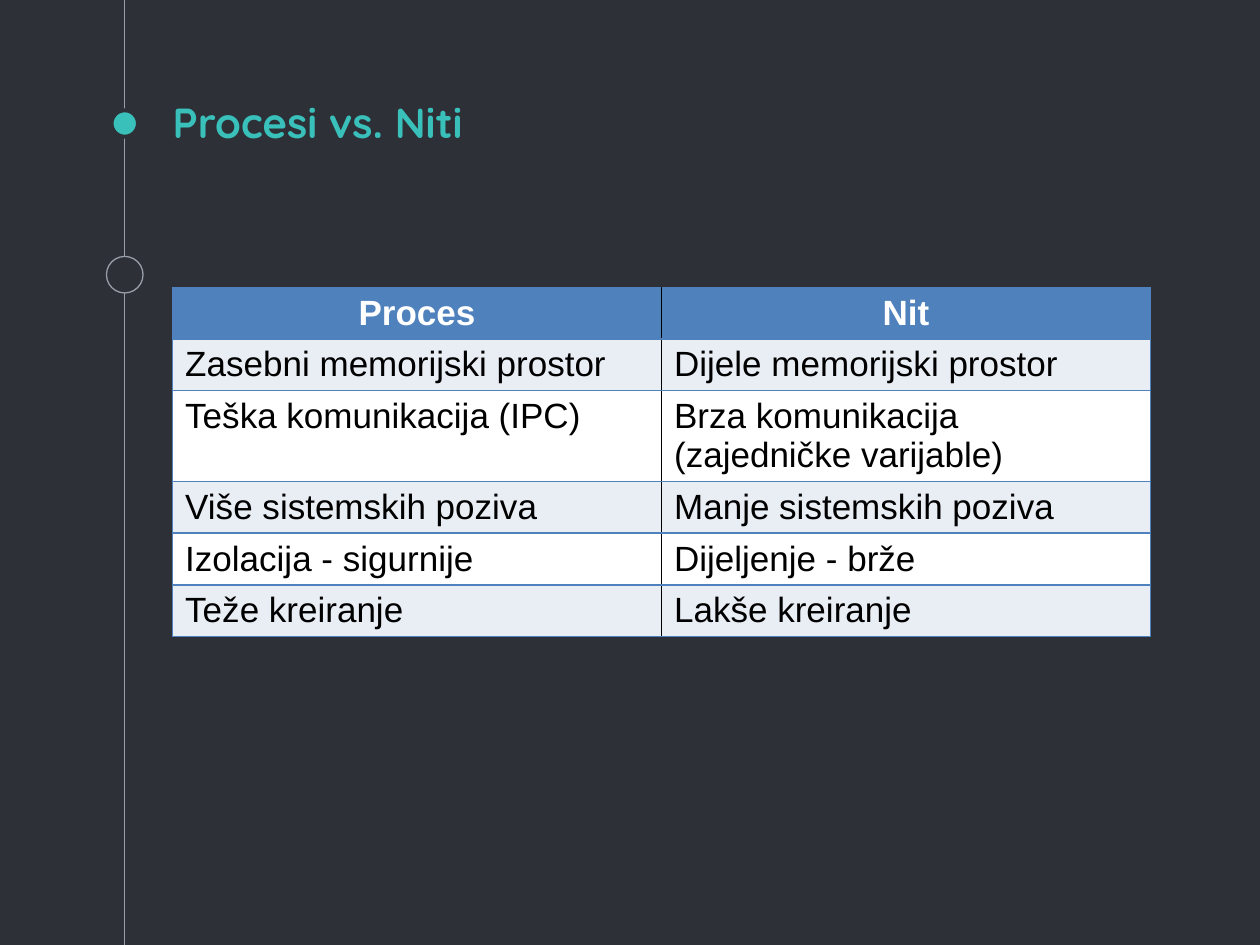
from lxml.etree import SubElement
from pptx import Presentation
from pptx.dml.color import RGBColor
from pptx.enum.shapes import MSO_CONNECTOR, MSO_SHAPE
from pptx.enum.text import MSO_ANCHOR, MSO_AUTO_SIZE, PP_ALIGN
from pptx.oxml.ns import qn
from pptx.util import Inches, Pt

TITLE = "Procesi vs. Niti"
ROWS = [
    ("Proces", "Nit"),
    ("Zasebni memorijski prostor", "Dijele memorijski prostor"),
    ("Teška komunikacija (IPC)", "Brza komunikacija (zajedničke varijable)"),
    ("Više sistemskih poziva", "Manje sistemskih poziva"),
    ("Izolacija - sigurnije", "Dijeljenje - brže"),
    ("Teže kreiranje", "Lakše kreiranje"),
]
COLORS = {
    "background": "2E3037",
    "accent": "39C0BA",
    "timeline": "999FA9",
    "header": "4F81BD",
    "band": "E9EDF4",
    "white": "FFFFFF",
    "black": "000000",
}
TIMELINE_X = 0.99
DOTS = [
    (0.98, 0.21, "accent", "background", 2.25),
    (2.18, 0.29, "background", "timeline", 0.75),
]
COLUMN_WIDTH, ROW_HEIGHT = 3.88, 0.41


def rgb(name):
    return RGBColor.from_string(COLORS[name])


def add_run(paragraph, text, font_name, size, color, bold):
    run = paragraph.add_run()
    run.text = text
    run.font.name = font_name
    run.font.size = Pt(size)
    run.font.bold = bold
    run.font.color.rgb = rgb(color)


def add_border(cell, side, color):
    border = SubElement(cell._tc.get_or_add_tcPr(), qn(f"a:ln{side}"), w=str(Pt(1)))
    fill = SubElement(border, qn("a:solidFill"))
    SubElement(fill, qn("a:srgbClr"), val=COLORS[color])


def add_timeline(slide):
    line = slide.shapes.add_connector(
        MSO_CONNECTOR.STRAIGHT, Inches(TIMELINE_X), Inches(0), Inches(TIMELINE_X), Inches(7.5))
    line.line.color.rgb = rgb("timeline")
    line.line.width = Pt(0.75)
    SubElement(line._element.spPr, qn("a:effectLst"))
    for center_y, size, fill, outline, width in DOTS:
        dot = slide.shapes.add_shape(
            MSO_SHAPE.OVAL, Inches(TIMELINE_X - size / 2), Inches(center_y - size / 2),
            Inches(size), Inches(size))
        dot.shadow.inherit = False
        dot.fill.solid()
        dot.fill.fore_color.rgb = rgb(fill)
        dot.line.color.rgb = rgb(outline)
        dot.line.width = Pt(width)


def add_title(slide):
    title = slide.shapes.title
    title.left, title.top = Inches(1.27), Inches(0.77)
    title.width, title.height = Inches(7.5), Inches(0.5)
    frame = title.text_frame
    frame.auto_size = MSO_AUTO_SIZE.NONE
    frame.word_wrap = True
    frame.vertical_anchor = MSO_ANCHOR.BOTTOM
    frame.margin_left = frame.margin_right = Inches(0.1)
    frame.margin_top = frame.margin_bottom = Inches(0.1)
    frame.paragraphs[0].alignment = PP_ALIGN.LEFT
    add_run(frame.paragraphs[0], TITLE, "Quicksand", 24, "accent", True)


def add_comparison(slide):
    table = slide.shapes.add_table(
        len(ROWS), 2, Inches(1.37), Inches(2.28),
        Inches(2 * COLUMN_WIDTH), Inches(len(ROWS) * ROW_HEIGHT)).table
    for row_index, row in enumerate(ROWS):
        header = row_index == 0
        fill = "header" if header else "band" if row_index % 2 else "white"
        for column_index, text in enumerate(row):
            cell = table.cell(row_index, column_index)
            inner_side = "R" if column_index == 0 else "L"
            for side in "LRTB":
                add_border(cell, side, "black" if side == inner_side else "header")
            cell.fill.solid()
            cell.fill.fore_color.rgb = rgb(fill)
            cell.vertical_anchor = MSO_ANCHOR.MIDDLE if header else MSO_ANCHOR.TOP
            paragraph = cell.text_frame.paragraphs[0]
            paragraph.alignment = PP_ALIGN.CENTER if header else PP_ALIGN.LEFT
            add_run(paragraph, text, "Arial", 20, "white" if header else "black", header)


def main():
    deck = Presentation()
    deck.slide_width, deck.slide_height = Inches(10), Inches(7.5)
    slide = deck.slides.add_slide(deck.slide_layouts[5])
    slide.background.fill.solid()
    slide.background.fill.fore_color.rgb = rgb("background")
    add_timeline(slide)
    add_title(slide)
    add_comparison(slide)
    deck.save("out.pptx")


if __name__ == "__main__":
    main()
